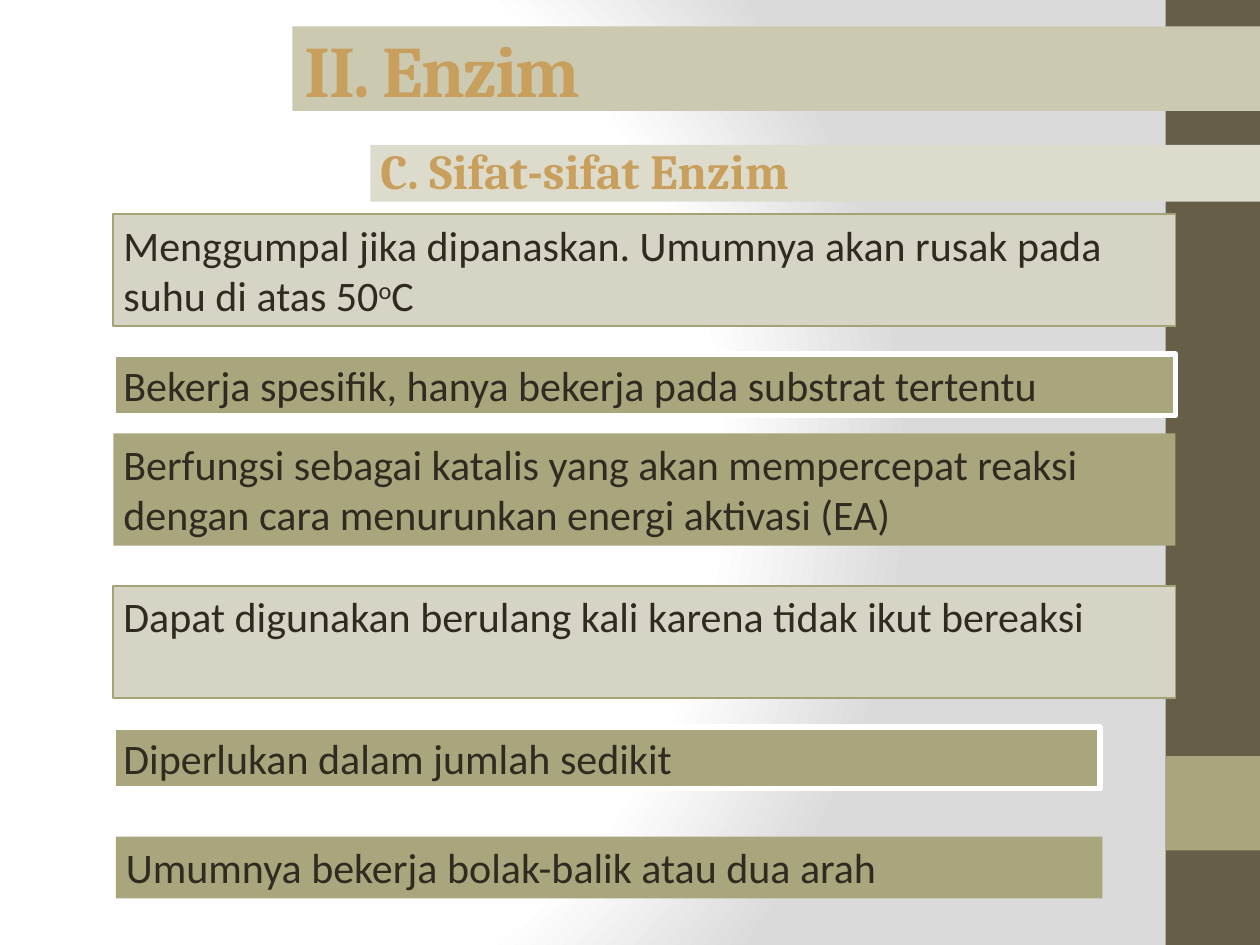
from dataclasses import dataclass

from pptx import Presentation
from pptx.dml.color import RGBColor
from pptx.enum.shapes import MSO_SHAPE
from pptx.enum.text import MSO_ANCHOR, MSO_AUTO_SIZE, PP_ALIGN
from pptx.oxml import parse_xml
from pptx.oxml.ns import nsdecls, qn
from pptx.util import Inches, Pt


@dataclass(frozen=True)
class Theme:
    heading_font: str = "Cambria"
    body_font: str = "Calibri"
    title_size: float = 41.4
    subtitle_size: float = 28
    body_size: float = 24
    gold: str = "C89F5D"
    ink: str = "2F2B20"
    olive: str = "A9A57C"
    dark: str = "675E47"
    title_band: str = "CBC9B0"
    subtitle_band: str = "DDDBCB"
    pale: str = "D5D4C5"
    pale_edge: str = "A6A278"
    white: str = "FFFFFF"
    grey: str = "DADADA"


THEME = Theme()
CELL = Inches(0.1)  # grid of 100 columns by 75 rows
COLUMNS, ROWS = 100, 75
SIDEBAR_COL = 92.5
BOX_COL = 9
ONE_LINE, TWO_LINES = 4.9, 8.9  # box heights in rows
WIDE, NARROW = 84.3, 78.3  # box widths in columns

# Box styles: fill, edge colour, edge width
STYLES = {
    "pale": (THEME.pale, THEME.pale_edge, 1),
    "framed": (THEME.olive, THEME.white, 3),
    "plain": (THEME.olive, None, 0),
}

# Enzyme properties: style, column, row, width, height, runs (text, baseline)
PROPERTIES = [
    ("pale", BOX_COL, 17, WIDE, TWO_LINES,
     [("Menggumpal jika dipanaskan. Umumnya akan rusak pada suhu di atas 50", 0),
      ("o", 30), ("C", 0)]),
    ("framed", BOX_COL, 28.1, WIDE, ONE_LINE,
     [("Bekerja spesifik, hanya bekerja pada substrat tertentu", 0)]),
    ("plain", BOX_COL, 34.4, WIDE, TWO_LINES,
     [("Berfungsi sebagai katalis yang akan mempercepat reaksi dengan cara "
       "menurunkan energi aktivasi (EA)", 0)]),
    ("pale", BOX_COL, 46.5, WIDE, TWO_LINES,
     [("Dapat digunakan berulang kali karena tidak ikut bereaksi", 0)]),
    ("framed", BOX_COL, 57.7, NARROW, ONE_LINE,
     [("Diperlukan dalam jumlah sedikit", 0)]),
    ("plain", BOX_COL + 0.2, 66.4, NARROW, ONE_LINE,
     [("Umumnya bekerja bolak-balik atau dua arah", 0)]),
]


def cells(*counts):
    return [round(count * CELL) for count in counts]


def apply(target, values):
    for name, value in values.items():
        setattr(target, name, value)


def paint(shape, fill, edge=None, edge_width=0):
    shape.shadow.inherit = False
    shape.fill.solid()
    shape.fill.fore_color.rgb = RGBColor.from_string(fill)
    if edge:
        shape.line.color.rgb = RGBColor.from_string(edge)
        shape.line.width = Pt(edge_width)
    else:
        shape.line.fill.background()


def add_band(slide, col, row, width, height, *colours):
    band = slide.shapes.add_shape(MSO_SHAPE.RECTANGLE, *cells(col, row, width, height))
    paint(band, *colours)
    return band


def write(shape, runs, font, size, colour, bold=False, margins=(0.08, 0.04),
          anchor=MSO_ANCHOR.MIDDLE, auto_size=MSO_AUTO_SIZE.NONE, spacing=1.0):
    frame = shape.text_frame
    side, edge = map(Inches, margins)
    apply(frame, {"word_wrap": True, "auto_size": auto_size, "vertical_anchor": anchor,
                  "margin_left": side, "margin_right": side,
                  "margin_top": edge, "margin_bottom": edge})
    paragraph = frame.paragraphs[0]
    apply(paragraph, {"alignment": PP_ALIGN.LEFT, "line_spacing": spacing})
    for text, baseline in runs:
        run = paragraph.add_run()
        run.text = text
        apply(run.font, {"name": font, "size": Pt(size), "bold": bold})
        run.font.color.rgb = RGBColor.from_string(colour)
        if baseline:
            run.font._element.set("baseline", str(baseline * 1000))


def set_background(slide):
    slide.background.fill.gradient()
    gradient = slide.element.find(".//" + qn("a:gradFill"))
    stops = "".join(
        f'<a:gs pos="{share * 1000}"><a:srgbClr val="{colour}"/></a:gs>'
        for share, colour in ((0, THEME.white), (75, THEME.white), (100, THEME.grey)))
    gradient.getparent().replace(gradient, parse_xml(
        f'<a:gradFill {nsdecls("a")} rotWithShape="1"><a:gsLst>{stops}</a:gsLst>'
        '<a:path path="circle"><a:fillToRect l="20000" t="50000" r="100000" b="50000"/>'
        '</a:path></a:gradFill>'))


def add_sidebar(slide):
    width = COLUMNS - SIDEBAR_COL
    add_band(slide, SIDEBAR_COL, 0, width, ROWS, THEME.dark)
    add_band(slide, SIDEBAR_COL, 60, width, width, THEME.olive)


def add_headings(slide):
    subtitle = add_band(slide, 29.4, 11.5, COLUMNS - 29.4, 4.5, THEME.subtitle_band)
    write(subtitle, [("C. Sifat-sifat Enzim", 0)], THEME.heading_font,
          THEME.subtitle_size, THEME.gold, bold=True, spacing=0.9)

    title = slide.shapes.title
    left, top, width, height = cells(23.2, 2.1, COLUMNS - 23.2, 6.7)
    apply(title, {"left": left, "top": top, "width": width, "height": height})
    paint(title, THEME.title_band)
    write(title, [("II. Enzim", 0)], THEME.heading_font, THEME.title_size,
          THEME.gold, bold=True, margins=(0.1, 0.05))
    title.text_frame.paragraphs[0].runs[0].font._element.set("spc", "-100")
    # Bring the title in front of the sidebar
    slide.shapes._spTree.append(title._element)


def add_property(slide, style, col, row, width, height, runs):
    box = add_band(slide, col, row, width, height, *STYLES[style])
    write(box, runs, THEME.body_font, THEME.body_size, THEME.ink,
          anchor=MSO_ANCHOR.TOP, auto_size=MSO_AUTO_SIZE.SHAPE_TO_FIT_TEXT)


def main():
    deck = Presentation()
    apply(deck, {"slide_width": COLUMNS * CELL, "slide_height": ROWS * CELL})
    slide = deck.slides.add_slide(deck.slide_layouts.get_by_name("Title Only"))
    set_background(slide)
    add_sidebar(slide)
    add_headings(slide)
    for enzyme_property in PROPERTIES:
        add_property(slide, *enzyme_property)
    deck.save("out.pptx")


if __name__ == "__main__":
    main()
